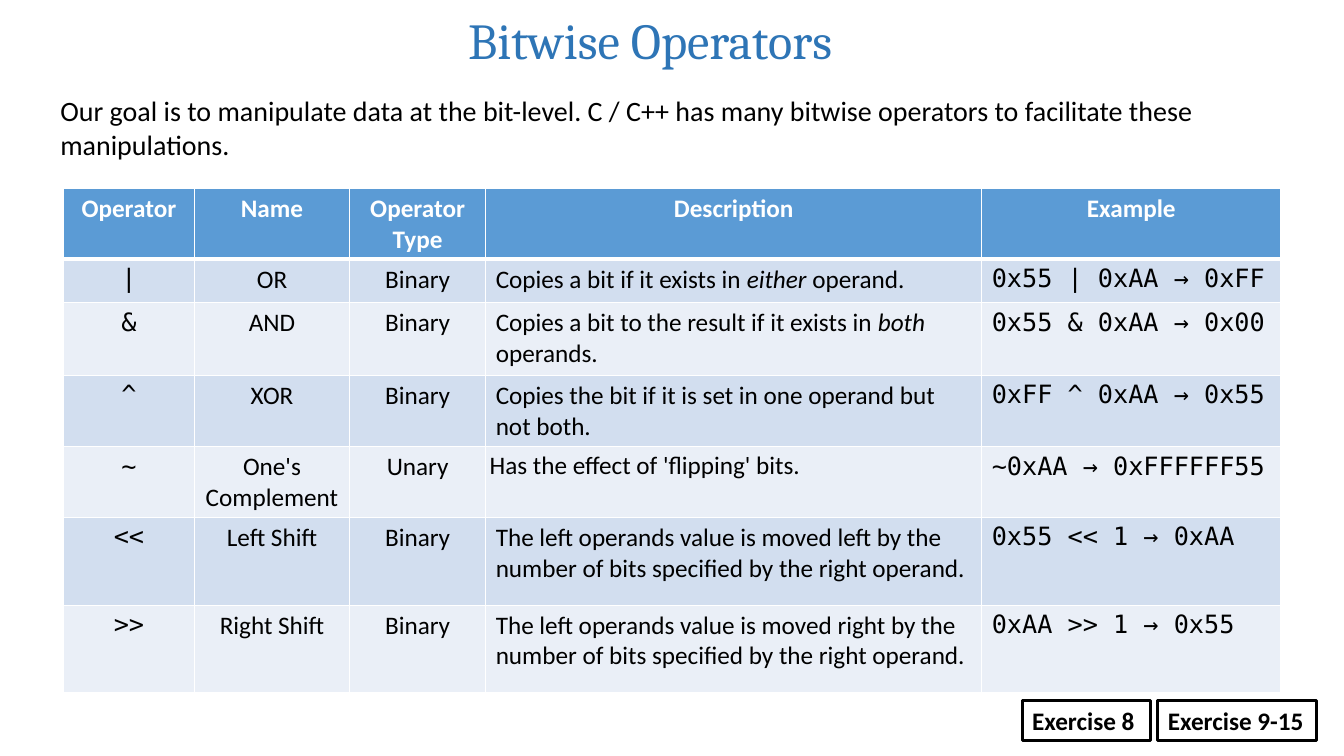
from lxml import etree
from pptx import Presentation
from pptx.dml.color import RGBColor
from pptx.enum.shapes import MSO_SHAPE
from pptx.enum.text import MSO_ANCHOR, PP_ALIGN
from pptx.oxml.ns import qn
from pptx.util import Cm, Pt

LEFT, CENTER = PP_ALIGN.LEFT, PP_ALIGN.CENTER
TOP, MIDDLE = MSO_ANCHOR.TOP, MSO_ANCHOR.MIDDLE
RECTANGLE = MSO_SHAPE.RECTANGLE

TITLE = "Bitwise Operators"
GOAL = ("Our goal is to manipulate data at the bit-level. C / C++ has many "
        "bitwise operators to facilitate these manipulations.")
HEADER = ["Operator", "Name", "Operator Type", "Description", "Example"]
# Each description is a list of runs; every second run is italic.
OPERATORS = [
    ("|", "OR", "Binary",
     ["Copies a bit if it exists in ", "either", " operand."],
     "0x55 | 0xAA → 0xFF"),
    ("&", "AND", "Binary",
     ["Copies a bit to the result if it exists in ", "both", " operands."],
     "0x55 & 0xAA → 0x00"),
    ("^", "XOR", "Binary",
     ["Copies the bit if it is set in one operand but not both."],
     "0xFF ^ 0xAA → 0x55"),
    ("~", "One's Complement", "Unary",
     ["Has the effect of 'flipping' bits."],
     "~0xAA → 0xFFFFFF55"),
    ("<<", "Left Shift", "Binary",
     ["The left operands value is moved left by the number of bits "
      "specified by the right operand."],
     "0x55 << 1 → 0xAA"),
    (">>", "Right Shift", "Binary",
     ["The left operands value is moved right by the number of bits "
      "specified by the right operand."],
     "0xAA >> 1 → 0x55"),
]
EXERCISES = [("Exercise 9-15", 29.18, 3.99), ("Exercise 8", 25.76, 3.23)]

COLORS = {"title": "2E75B6", "text": "000000", "white": "FFFFFF",
          "header": "5B9BD5", "odd": "D2DEEF", "even": "EAEFF7"}
BODY, HEADING, MONO = "Calibri", "Cambria", "DejaVu Sans Mono"
COL_WIDTHS = [3.3, 3.91, 3.43, 12.5, 7.54]
COL_FONTS = [MONO, BODY, BODY, BODY, MONO]
COL_ALIGNS = [CENTER, CENTER, CENTER, LEFT, LEFT]
ROW_HEIGHTS = [1.75, 1.1, 1.83, 1.8, 1.78, 2.21, 2.21]
TIGHT_CELL = (4, 3)


def rgb(name):
    return RGBColor.from_string(COLORS[name])


def add_run(p, text, size, font=BODY, color="text", bold=False, italic=False):
    r = p.add_run()
    r.text = text
    r.font.size = Pt(size)
    r.font.name = font
    r.font.bold = bold
    r.font.italic = italic
    r.font.color.rgb = rgb(color)


def add_text(s, text, left, top, width, height, anchor, **style):
    tf = s.shapes.add_textbox(Cm(left), Cm(top), Cm(width), Cm(height)).text_frame
    tf.word_wrap = True
    tf.vertical_anchor = anchor
    add_run(tf.paragraphs[0], text, **style)
    return tf.paragraphs[0]


def set_borders(cell, bottom):
    """Draw white borders, 1 pt except for the given bottom width."""
    tcPr = cell._tc.get_or_add_tcPr()
    widths = {"a:lnL": 1, "a:lnR": 1, "a:lnT": 1, "a:lnB": bottom}
    for i, (tag, width) in enumerate(widths.items()):
        ln = etree.Element(qn(tag), w=str(Pt(width)))
        fill = etree.SubElement(ln, qn("a:solidFill"))
        etree.SubElement(fill, qn("a:srgbClr"), val=COLORS["white"])
        tcPr.insert(i, ln)


def add_operator_table(s):
    rows = [HEADER] + OPERATORS
    table = s.shapes.add_table(
        len(rows), len(HEADER), Cm(1.6), Cm(4.75),
        Cm(sum(COL_WIDTHS)), Cm(sum(ROW_HEIGHTS))).table
    for column, width in zip(table.columns, COL_WIDTHS):
        column.width = Cm(width)
    for i, (row, height) in enumerate(zip(rows, ROW_HEIGHTS)):
        table.rows[i].height = Cm(height)
        is_header = i == 0
        shade = "header" if is_header else "odd" if i % 2 else "even"
        for j, content in enumerate(row):
            cell = table.cell(i, j)
            cell.fill.solid()
            cell.fill.fore_color.rgb = rgb(shade)
            set_borders(cell, bottom=3 if is_header else 1)
            cell.vertical_anchor = TOP
            if (i, j) == TIGHT_CELL:
                cell.margin_left = cell.margin_right = Cm(0.1)
                cell.margin_top = cell.margin_bottom = Cm(0.1)
            p = cell.text_frame.paragraphs[0]
            p.alignment = CENTER if is_header else COL_ALIGNS[j]
            parts = content if isinstance(content, list) else [content]
            for k, part in enumerate(parts):
                add_run(p, part, 18,
                        font=BODY if is_header else COL_FONTS[j],
                        color="white" if is_header else "text",
                        bold=is_header, italic=k % 2 == 1)


def add_exercise(s, text, left, width):
    box = s.shapes.add_shape(RECTANGLE, Cm(left), Cm(17.65), Cm(width), Cm(1.02))
    box.shadow.inherit = False
    box.fill.background()
    box.line.color.rgb = rgb("text")
    box.line.width = Pt(2)
    tf = box.text_frame
    tf.word_wrap = False
    tf.vertical_anchor = MIDDLE
    p = tf.paragraphs[0]
    p.alignment = LEFT
    add_run(p, text, 18, bold=True)


def main():
    prs = Presentation()
    prs.slide_width, prs.slide_height = Cm(33.87), Cm(19.05)
    s = prs.slides.add_slide(prs.slide_layouts[6])
    title = add_text(s, TITLE, 1.27, 0.2, 30.23, 1.57, MIDDLE,
                     size=36, font=HEADING, color="title")
    title.alignment = CENTER
    goal = add_text(s, GOAL, 1.27, 2.24, 31.34, 1.96, TOP, size=20)
    goal.space_before = Pt(12)
    add_operator_table(s)
    for exercise in EXERCISES:
        add_exercise(s, *exercise)
    prs.save("out.pptx")


if __name__ == "__main__":
    main()
